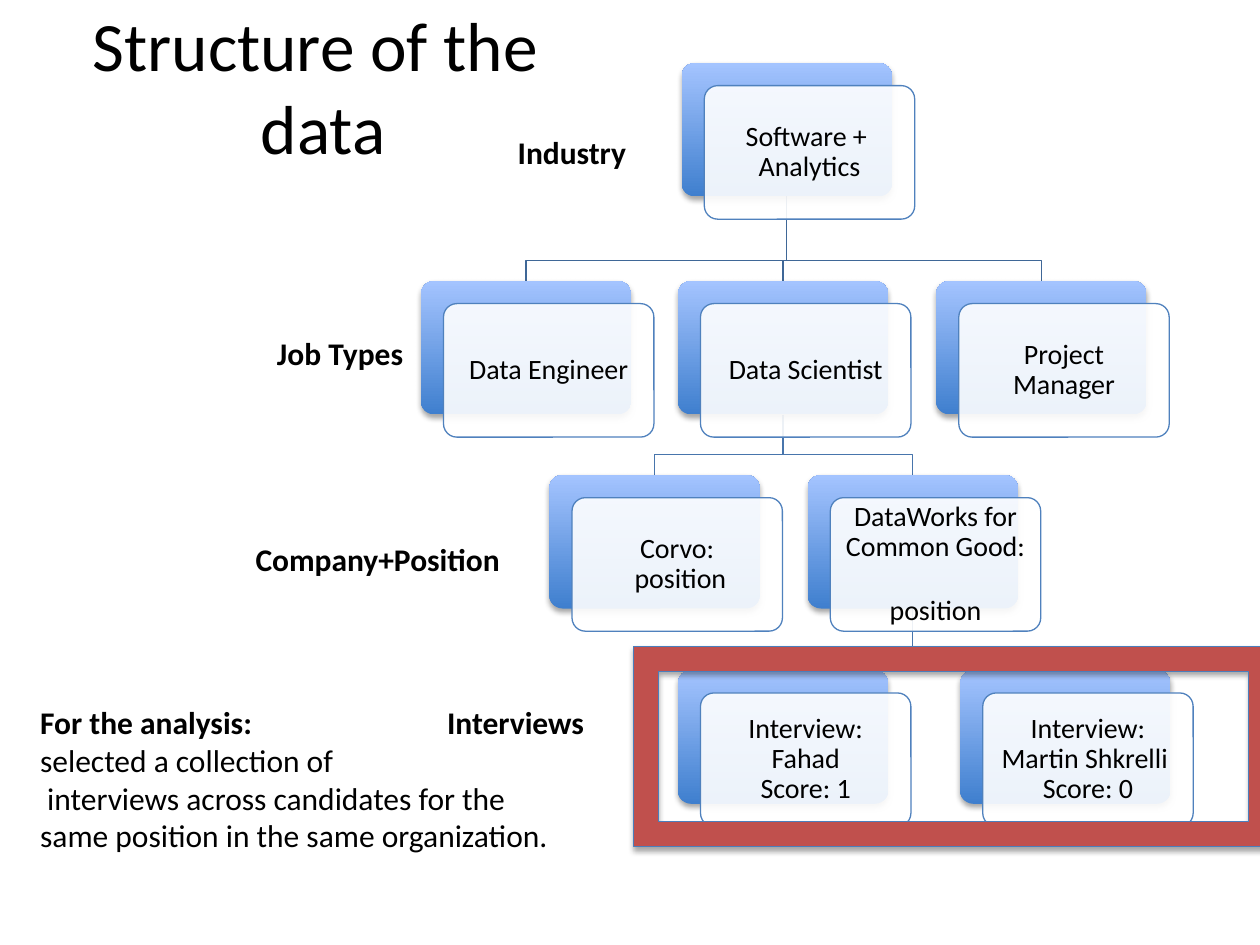
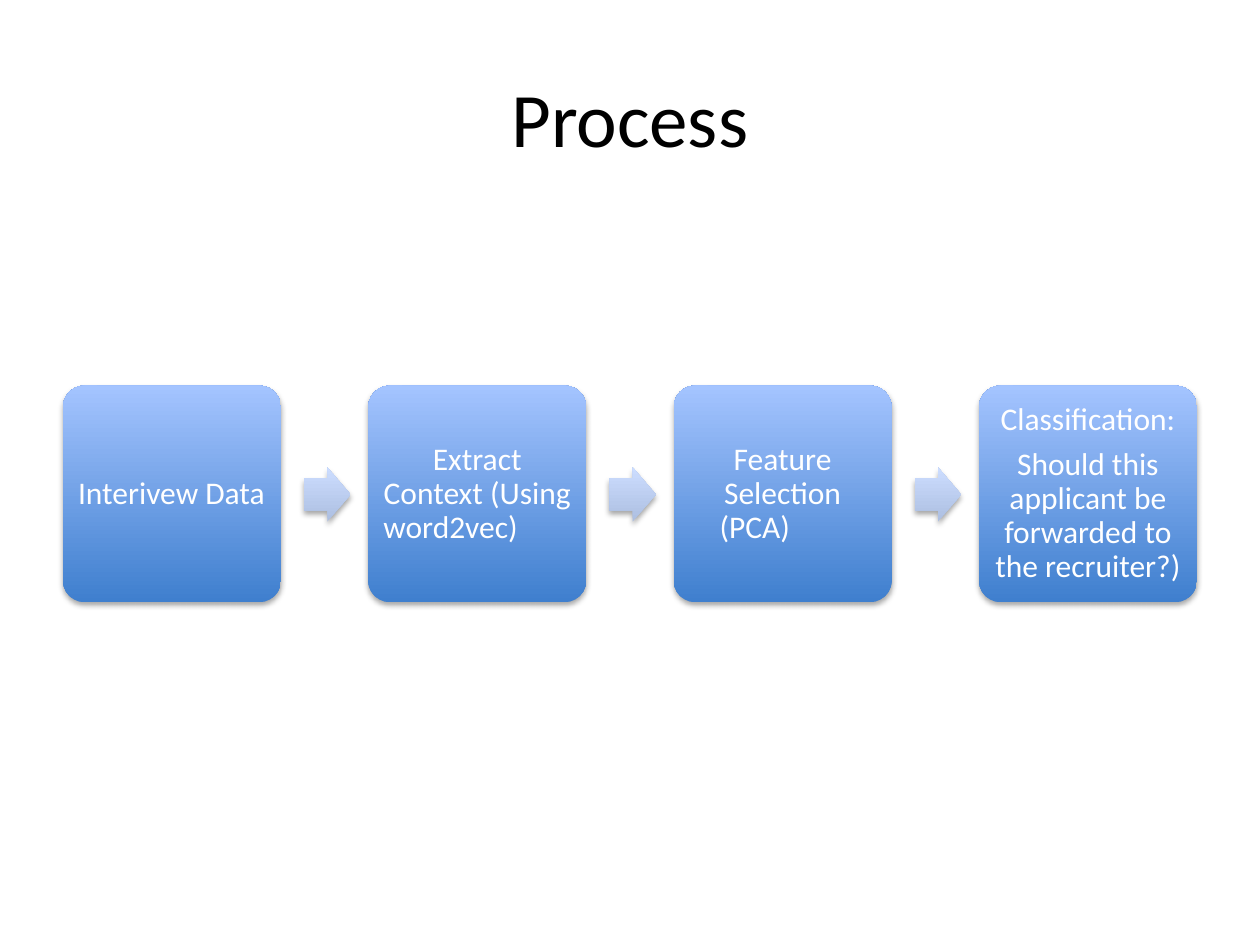
from lxml.etree import SubElement
from pptx import Presentation
from pptx.dml.color import RGBColor
from pptx.enum.shapes import MSO_SHAPE
from pptx.enum.text import MSO_ANCHOR, MSO_AUTO_SIZE, PP_ALIGN
from pptx.oxml.ns import qn
from pptx.util import Inches, Pt

FONT = "Calibri"
BLACK = RGBColor(0x00, 0x00, 0x00)
WHITE = RGBColor(0xFF, 0xFF, 0xFF)
DEEP_BLUE = RGBColor(0x3F, 0x7F, 0xCE)
SKY_BLUE = RGBColor(0xA4, 0xC4, 0xFF)
ARROW_DEEP = RGBColor(0xAD, 0xBF, 0xE1)
ARROW_PALE = RGBColor(0xCC, 0xDD, 0xFF)
CARD_EDGE = RGBColor(0x4F, 0x81, 0xBD)
ROOT_BRANCH = RGBColor(0x3F, 0x67, 0x97)
LOWER_BRANCH = RGBColor(0x48, 0x75, 0xAC)
FRAME_RED = RGBColor(0xC0, 0x50, 0x4D)
FRAME_EDGE = RGBColor(0x4B, 0x7E, 0xBC)

CARD_WIDTH, CARD_HEIGHT = 1.67, 1.06
FRONT_SHIFT = 0.18
BRANCH_DROP = 0.16
ROW_TOPS = [0.5, 2.23, 3.77, 5.32]

# key: (left, row, wording, parent)
NODES = {
    "industry": (5.41, 0, "Software + \nAnalytics", None),
    "engineer": (3.34, 1, "Data Engineer", "industry"),
    "scientist": (5.38, 1, "Data Scientist", "industry"),
    "manager": (7.43, 1, "Project Manager", "industry"),
    "company": (4.36, 2, "Corvo:\n position", "scientist"),
    "nonprofit": (6.41, 2, "DataWorks for Common Good: \nposition", "scientist"),
    "first interview": (5.38, 3, "Interview: Fahad\nScore: 1", "nonprofit"),
    "second interview": (7.62, 3, "Interview: Martin Shkrelli \nScore: 0", "nonprofit"),
}

LEVEL_LABELS = [
    (4.01, 1.01, 1.09, "Industry"),
    (2.1, 2.6, 1.23, "Job Types"),
    (1.93, 4.24, 2.17, "Company+Position"),
    (3.45, 5.53, 1.31, "Interviews"),
]

ANALYSIS_NOTE = [
    "For the analysis:",
    "selected a collection of",
    " interviews across candidates for the",
    "same position in the same organization.",
]

STEPS = [
    ["Interivew Data\t"],
    ["Extract Context (Using word2vec)\t"],
    ["Feature Selection (PCA)\t"],
    ["Classification:", "Should this applicant be forwarded to the recruiter?)"],
]


def write_paragraph(paragraph, wording, size, color=BLACK, bold=False, align=None):
    """Write wording run by run, with a line break at each newline."""
    paragraph.alignment = align
    for index, line in enumerate(wording.split("\n")):
        if index:
            paragraph.add_line_break()
        run = paragraph.add_run()
        run.text = line
        font = run.font
        font.name, font.size, font.bold = FONT, Pt(size), bold
        font.color.rgb = color


def next_paragraph(frame, index):
    """Return the first paragraph of a frame, or a new one after it."""
    return frame.add_paragraph() if index else frame.paragraphs[0]


def add_title(slide, wording, left, top, width, size):
    """Add a centred slide title."""
    title = slide.shapes.add_textbox(Inches(left), Inches(top), Inches(width), Inches(1.25))
    title.text_frame.word_wrap = True
    title.text_frame.vertical_anchor = MSO_ANCHOR.MIDDLE
    write_paragraph(title.text_frame.paragraphs[0], wording, size, align=PP_ALIGN.CENTER)


def add_note(slide, left, top, width, height, lines):
    """Add left-aligned unwrapped text whose first line is bold."""
    note = slide.shapes.add_textbox(Inches(left), Inches(top), Inches(width), Inches(height))
    frame = note.text_frame
    frame.word_wrap = False
    frame.auto_size = MSO_AUTO_SIZE.SHAPE_TO_FIT_TEXT
    for index, line in enumerate(lines):
        write_paragraph(next_paragraph(frame, index), line, 18, bold=index == 0)


def add_plain_shape(slide, kind, left, top, width, height, edge=None):
    """Add a preset shape without shadow, outlined only if an edge colour is given."""
    shape = slide.shapes.add_shape(kind, Inches(left), Inches(top), Inches(width), Inches(height))
    shape.shadow.inherit = False
    if edge is None:
        shape.line.fill.background()
    else:
        shape.line.color.rgb = edge
        shape.line.width = Pt(0.75)
    return shape


def cast_shadow(shape):
    """Give a shape a soft shadow below it."""
    effects = shape._element.spPr.find(qn("a:effectLst"))
    shadow = SubElement(effects, qn("a:outerShdw"), blurRad="40000", dist="23000",
                        dir="5400000", rotWithShape="0")
    tint = SubElement(shadow, qn("a:srgbClr"), val=str(BLACK))
    SubElement(tint, qn("a:alpha"), val="35000")


def fill_upward(shape, bottom, top):
    """Fill a shape with a vertical gradient."""
    shape.fill.gradient()
    shape.fill.gradient_angle = 90
    for stop, color in zip(shape.fill.gradient_stops, (bottom, top)):
        stop.color.rgb = color


def add_blue_block(slide, left, top, width, height):
    """Add a rounded blue gradient block with a shadow."""
    block = add_plain_shape(slide, MSO_SHAPE.ROUNDED_RECTANGLE, left, top, width, height)
    block.adjustments[0] = 0.1
    fill_upward(block, DEEP_BLUE, SKY_BLUE)
    cast_shadow(block)
    return block


def write_block(block, paragraphs, size, color):
    """Write centred, tightly spaced paragraphs in a block."""
    frame = block.text_frame
    frame.word_wrap = True
    frame.vertical_anchor = MSO_ANCHOR.MIDDLE
    frame.margin_left = frame.margin_right = Inches(0.07)
    frame.margin_top = frame.margin_bottom = Inches(0.07)
    for index, wording in enumerate(paragraphs):
        paragraph = next_paragraph(frame, index)
        paragraph.line_spacing = 0.9
        paragraph.space_after = Pt(size * 0.35)
        write_paragraph(paragraph, wording, size, color, align=PP_ALIGN.CENTER)


def add_card(slide, left, top, wording):
    """Add a blue block with a translucent white card in front."""
    add_blue_block(slide, left, top, CARD_WIDTH, CARD_HEIGHT)
    card = add_plain_shape(slide, MSO_SHAPE.ROUNDED_RECTANGLE, left + FRONT_SHIFT,
                           top + FRONT_SHIFT, CARD_WIDTH, CARD_HEIGHT, CARD_EDGE)
    card.adjustments[0] = 0.1
    card.fill.solid()
    card.fill.fore_color.rgb = WHITE
    tint = card._element.spPr.find(qn("a:solidFill"))[0]
    SubElement(tint, qn("a:alpha"), val="90000")
    write_block(card, [wording], 16, BLACK)


def add_branch(slide, parent, child):
    """Draw the bent line from a parent node down to its child."""
    start_x, end_x = (Inches(node[0] + CARD_WIDTH / 2) for node in (parent, child))
    start_y = Inches(ROW_TOPS[parent[1]] + CARD_HEIGHT)
    end_y = Inches(ROW_TOPS[child[1]])
    bend_y = end_y - Inches(BRANCH_DROP)
    builder = slide.shapes.build_freeform(start_x, start_y)
    builder.add_line_segments([(start_x, bend_y), (end_x, bend_y), (end_x, end_y)], close=False)
    branch = builder.convert_to_shape()
    branch.shadow.inherit = False
    branch.fill.background()
    branch.line.color.rgb = LOWER_BRANCH if parent[1] else ROOT_BRANCH
    branch.line.width = Pt(0.75)


def build_structure(slide):
    """Build the tree from industry to interviews."""
    add_title(slide, "Structure of the \ndata", -0.43, 0.05, 5.99, 39.6)
    for node in NODES.values():
        if node[3]:
            add_branch(slide, NODES[node[3]], node)
    for left, row, wording, _ in NODES.values():
        add_card(slide, left, ROW_TOPS[row], wording)
    highlight = add_plain_shape(slide, MSO_SHAPE.FRAME, 5.03, 5.13, 5.08, 1.59, FRAME_EDGE)
    highlight.fill.solid()
    highlight.fill.fore_color.rgb = FRAME_RED
    cast_shadow(highlight)
    add_note(slide, 0.22, 5.53, 4.29, 1.31, ANALYSIS_NOTE)
    for left, top, width, label in LEVEL_LABELS:
        add_note(slide, left, top, width, 0.4, [label])


def build_process(slide):
    """Build the row of process steps with arrows between them."""
    add_title(slide, "Process", 0.5, 0.3, 9, 44)
    step_width = 1.73
    pitch = (9 - step_width) / (len(STEPS) - 1)
    for index, paragraphs in enumerate(STEPS):
        left = 0.5 + index * pitch
        if index:
            arrow = add_plain_shape(slide, MSO_SHAPE.RIGHT_ARROW, left - 0.51, 3.71, 0.37, 0.43)
            arrow.adjustments[0] = 0.6
            fill_upward(arrow, ARROW_DEEP, ARROW_PALE)
            cast_shadow(arrow)
        step = add_blue_block(slide, left, 3.06, step_width, 1.72)
        write_block(step, paragraphs, 18, WHITE)


def main():
    """Build and save the two slides."""
    deck = Presentation()
    deck.slide_width, deck.slide_height = Inches(10), Inches(7.5)
    for build in (build_structure, build_process):
        build(deck.slides.add_slide(deck.slide_layouts[6]))
    deck.save("out.pptx")


if __name__ == "__main__":
    main()
